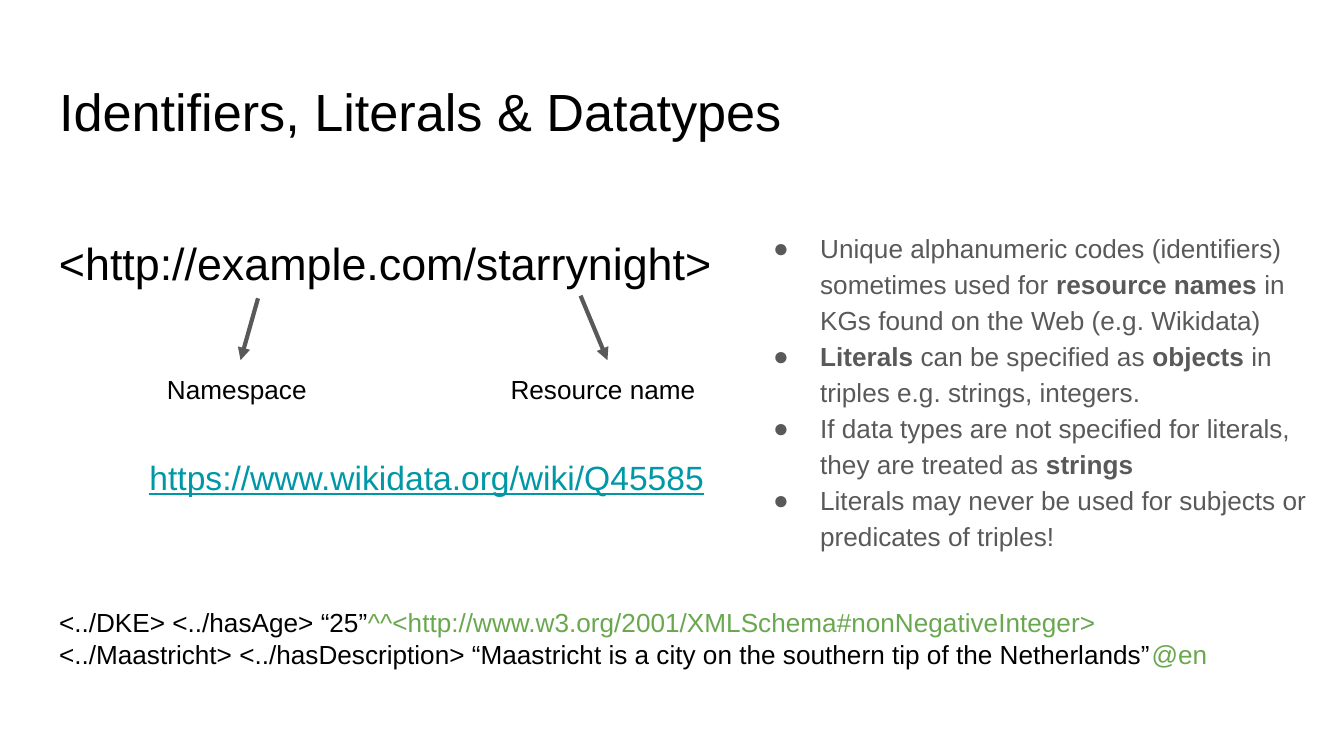
from lxml import etree
from pptx import Presentation
from pptx.dml.color import RGBColor
from pptx.enum.shapes import MSO_CONNECTOR
from pptx.oxml.ns import qn
from pptx.util import Inches, Pt

STRAIGHT = MSO_CONNECTOR.STRAIGHT
BLACK = RGBColor(0x00, 0x00, 0x00)
GRAY = RGBColor(0x59, 0x59, 0x59)
GREEN = RGBColor(0x6A, 0xA8, 0x4F)
TEAL = RGBColor(0x00, 0x97, 0xA7)
FONT = "Arial"

deck = Presentation()
deck.slide_width = Inches(10)
deck.slide_height = deck.slide_width * 9 // 16
slide = deck.slides.add_slide(deck.slide_layouts[6])

# Square grid: 100 columns across, rows of the same size
UNIT = deck.slide_width / 100
LEFT = 3.41
LABEL_ROW = 26.8


def grid(*cells):
    return [round(cell * UNIT) for cell in cells]


def add_text(area, paragraphs, size=14, color=BLACK, underline=None,
             bullet=None, line_spacing=None):
    """Each paragraph is a list of spans: (text, font overrides)."""
    frame = slide.shapes.add_textbox(*grid(*area)).text_frame
    frame.word_wrap = True
    frame.margin_left = frame.margin_right = Inches(0.1)
    frame.margin_top = frame.margin_bottom = Inches(0.1)
    for index, spans in enumerate(paragraphs):
        para = frame.add_paragraph() if index else frame.paragraphs[0]
        if bullet:
            layout = para._p.get_or_add_pPr()
            layout.set("marL", str(Inches(0.5)))
            layout.set("indent", str(Inches(-0.35)))
            tint = etree.SubElement(layout, qn("a:buClr"))
            etree.SubElement(tint, qn("a:srgbClr"), val=str(color))
            etree.SubElement(layout, qn("a:buSzPts"), val=str(size * 100))
            etree.SubElement(layout, qn("a:buFont"), typeface=FONT)
            etree.SubElement(layout, qn("a:buChar"), char=bullet)
        if line_spacing:
            para.line_spacing = line_spacing
        for text, changes in spans:
            span = para.add_run()
            span.text = text
            span.font.name = FONT
            span.font.size = Pt(size)
            span.font.bold = changes.get("bold")
            span.font.underline = underline
            span.font.color.rgb = changes.get("color", color)


PLAIN = {}
BOLD = {"bold": True}
TAG = {"color": GREEN}

add_text((LEFT, 4.9, 93.2, 6.3), [[("Identifiers, Literals & Datatypes", PLAIN)]], size=28)

add_text((55.04, 15.94, 43.5, 34.4), [
    [("Unique alphanumeric codes (identifiers) sometimes used for ", PLAIN),
     ("resource names", BOLD),
     (" in KGs found on the Web (e.g. Wikidata)", PLAIN)],
    [("Literals", BOLD), (" can be specified as ", PLAIN),
     ("objects", BOLD), (" in triples e.g. strings, integers.", PLAIN)],
    [("If data types are not specified for literals, they are treated as ", PLAIN),
     ("strings", BOLD)],
    [("Literals may never be used for subjects or predicates of triples!", PLAIN)],
], color=GRAY, bullet="●", line_spacing=1.15)

add_text((LEFT, 16.54, 51.6, 7.1), [[("<http://example.com/starrynight>", PLAIN)]], size=24)

# Parts of the identifier: label, its left and width, arrow start and tip column
for label, left, width, start, tip in [
    ("Namespace", 11.44, 12.9, (19.2, 22.2), 17.9),
    ("Resource name", 37, 16.5, (43.2, 22), 45.2),
]:
    arrow = slide.shapes.add_connector(STRAIGHT, *grid(*start, tip, LABEL_ROW))
    arrow.line.color.rgb = GRAY
    arrow.line.width = Pt(2.25)
    etree.SubElement(arrow.line._get_or_add_ln(), qn("a:tailEnd"), type="triangle")
    etree.SubElement(arrow._element.spPr, qn("a:effectLst"))
    add_text((left, LABEL_ROW, width, 4.4), [[(label, PLAIN)]])

add_text((LEFT, 44.14, 87.8, 8.1), [
    [("<../DKE> <../hasAge> “25”", PLAIN),
     ("^^<http://www.w3.org/2001/XMLSchema#nonNegativeInteger>", TAG)],
    [("<../Maastricht> <../hasDescription> “Maastricht is a city on the southern tip "
      "of the Netherlands”", PLAIN),
     ("@en", TAG)],
])

add_text((10.14, 33, 43.4, 4.4), [[("https://www.wikidata.org/wiki/Q45585", PLAIN)]],
         size=18, color=TEAL, underline=True)

deck.save("out.pptx")
